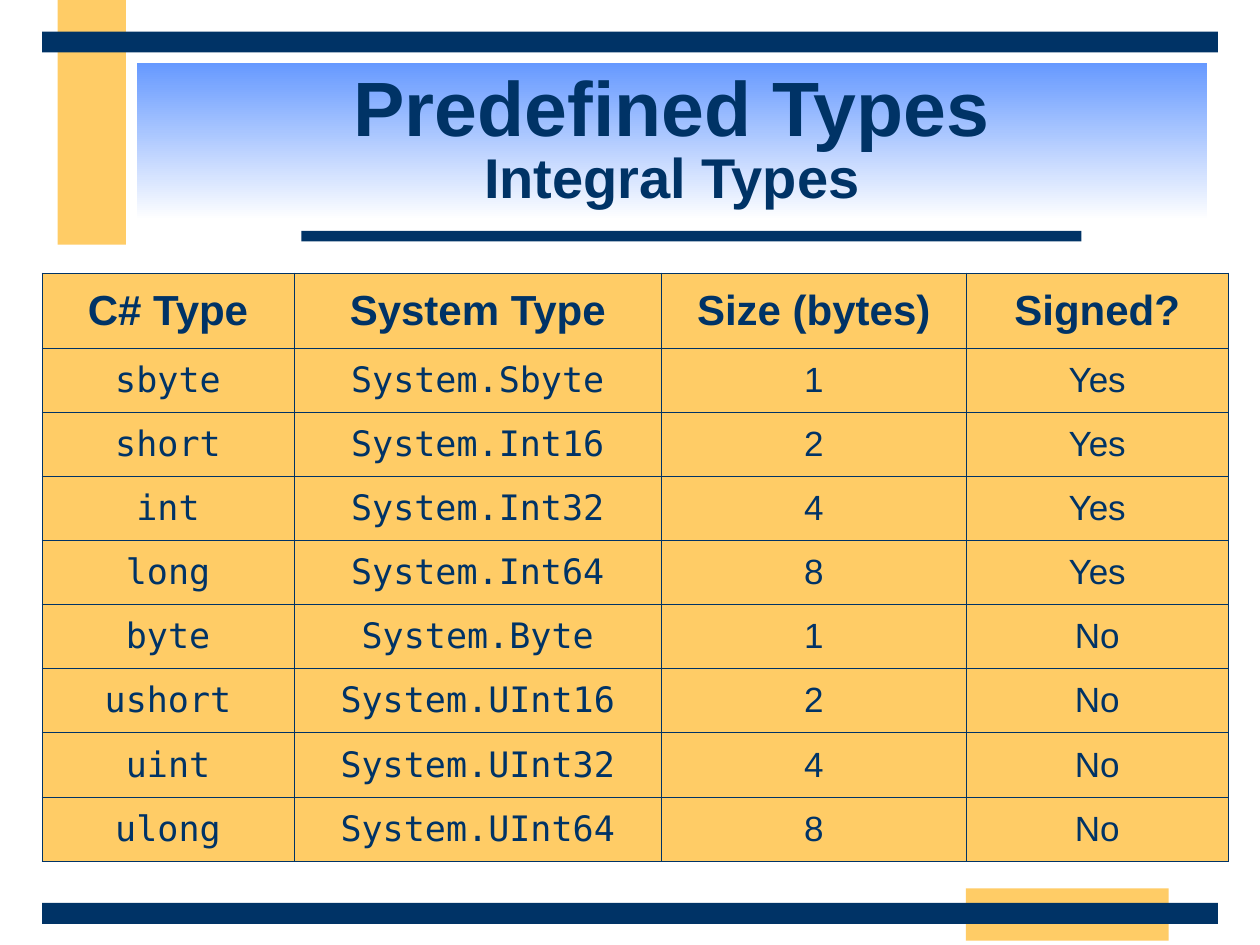
import lxml.etree
import pptx
import pptx.dml.color
import pptx.enum.shapes
import pptx.enum.text
import pptx.oxml.ns
import pptx.util

NAVY = pptx.dml.color.RGBColor.from_string("003366")
AMBER = pptx.dml.color.RGBColor.from_string("FFCC66")
THEME = {
    "gradient": ("6699FF", "FFFFFF"),
    "font": "Arial",
    "code_font": "DejaVu Sans Mono",
    "title": pptx.util.Pt(44),
    "subtitle": pptx.util.Pt(32),
    "header": pptx.util.Pt(24),
    "cell": pptx.util.Pt(20),
    "border": pptx.util.Pt(0.45),
}
CENTER = pptx.enum.text.PP_ALIGN.CENTER
MIDDLE = pptx.enum.text.MSO_ANCHOR.MIDDLE


def grid(units):
    """Length of grid units; the slide is 120 columns by 90 rows."""
    return pptx.util.Inches(units / 12)


def add_borders(cell):
    properties = cell._tc.get_or_add_tcPr()
    for side in ("a:lnL", "a:lnR", "a:lnT", "a:lnB"):
        line = lxml.etree.SubElement(
            properties, pptx.oxml.ns.qn(side), w=str(THEME["border"]))
        fill = lxml.etree.SubElement(line, pptx.oxml.ns.qn("a:solidFill"))
        lxml.etree.SubElement(fill, pptx.oxml.ns.qn("a:srgbClr"), val=str(NAVY))


deck = pptx.Presentation()
deck.slide_width, deck.slide_height = grid(120), grid(90)
page = deck.slides.add_slide(deck.slide_layouts[5])

# Decorative bars: left, top, width, height in grid units
bars = [
    (5.5, 0, 6.5, 23.3, AMBER),
    (92, 84.6, 19.3, 5, AMBER),
    (28.7, 22, 74.3, 1, NAVY),
    (4, 86, 112, 2, NAVY),
    (4, 3, 112, 2, NAVY),
]
for *place, color in bars:
    bar = page.shapes.add_shape(
        pptx.enum.shapes.MSO_SHAPE.RECTANGLE, *map(grid, place))
    bar.shadow.inherit = False
    bar.fill.solid()
    bar.fill.fore_color.rgb = color
    bar.line.fill.background()

# Title on a vertical gradient
title = page.shapes.title
title.left, title.top, title.width, title.height = map(grid, (13, 6, 102, 15))
title.fill.gradient()
title.fill.gradient_angle = 270
for position, (stop, color) in enumerate(zip(title.fill.gradient_stops, THEME["gradient"])):
    stop.position = position
    stop.color.rgb = pptx.dml.color.RGBColor.from_string(color)
frame = title.text_frame
frame.auto_size = pptx.enum.text.MSO_AUTO_SIZE.NONE
frame.word_wrap = True
frame.vertical_anchor = MIDDLE
para = frame.paragraphs[0]
para.alignment = CENTER
para.line_spacing = 0.85
para.font.name = THEME["font"]
para.font.bold = True
para.font.color.rgb = NAVY
para.font.size = THEME["title"]
para.add_run().text = "Predefined Types"
para.add_line_break()
subtitle = para.add_run()
subtitle.text = "Integral Types"
subtitle.font.size = THEME["subtitle"]

# Table of integral types
rows = [
    ("C# Type", "System Type", "Size (bytes)", "Signed?"),
    ("sbyte", "System.Sbyte", "1", "Yes"),
    ("short", "System.Int16", "2", "Yes"),
    ("int", "System.Int32", "4", "Yes"),
    ("long", "System.Int64", "8", "Yes"),
    ("byte", "System.Byte", "1", "No"),
    ("ushort", "System.UInt16", "2", "No"),
    ("uint", "System.UInt32", "4", "No"),
    ("ulong", "System.UInt64", "8", "No"),
]
column_widths = (24, 35, 29, 25)
row_heights = [7.2] + [6.1] * (len(rows) - 1)
table = page.shapes.add_table(
    len(rows), len(column_widths), grid(4), grid(26),
    grid(sum(column_widths)), grid(sum(row_heights))).table
table.first_row = False
table.horz_banding = False
for column, width in zip(table.columns, column_widths):
    column.width = grid(width)
for row, height in zip(table.rows, row_heights):
    row.height = grid(height)

for row_index, texts in enumerate(rows):
    is_header = row_index == 0
    for column_index, text in enumerate(texts):
        is_code = not is_header and column_index < 2
        cell = table.cell(row_index, column_index)
        add_borders(cell)
        cell.fill.solid()
        cell.fill.fore_color.rgb = AMBER
        cell.vertical_anchor = MIDDLE
        cell.text = text
        para = cell.text_frame.paragraphs[0]
        para.alignment = CENTER
        para.font.name = THEME["code_font" if is_code else "font"]
        para.font.size = THEME["header" if is_header else "cell"]
        para.font.bold = is_header
        para.font.color.rgb = NAVY

deck.save("out.pptx")
